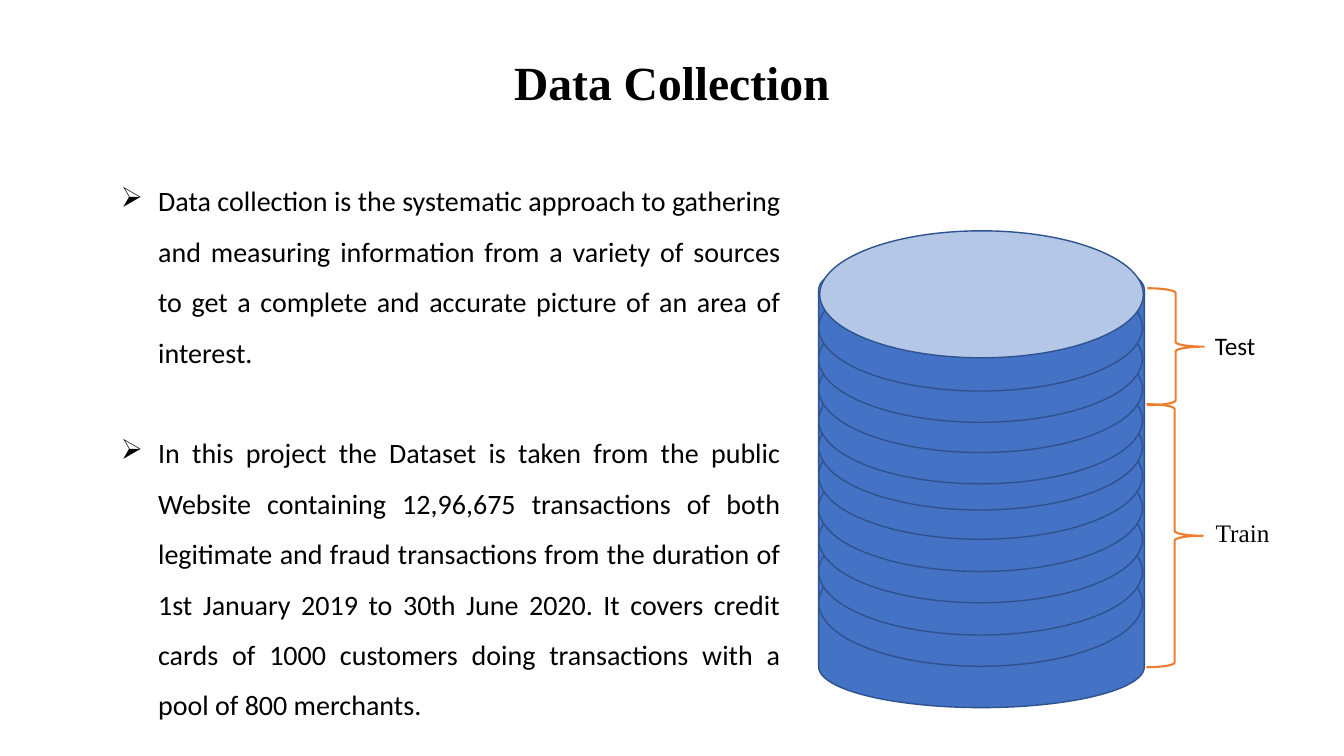
from lxml.etree import SubElement
from pptx import Presentation
from pptx.dml.color import RGBColor
from pptx.enum.shapes import MSO_SHAPE as Shape
from pptx.enum.text import MSO_ANCHOR as Anchor, PP_ALIGN as Align
from pptx.oxml.ns import qn
from pptx.util import Inches, Pt

BLACK = RGBColor(0x00, 0x00, 0x00)
BLUE = RGBColor(0x44, 0x72, 0xC4)
PALE_BLUE = RGBColor(0xB4, 0xC7, 0xE7)
NAVY = RGBColor(0x2F, 0x52, 0x8F)
ORANGE = RGBColor(0xED, 0x7D, 0x31)

SERIF = "Times New Roman"
SANS = "Calibri"

BULLETS = [
    "Data collection is the systematic approach to gathering and measuring "
    "information from a variety of sources to get a complete and accurate "
    "picture of an area of interest.",
    "In this project the Dataset is taken from the public Website containing "
    "12,96,675 transactions of both legitimate and fraud transactions from the "
    "duration of 1st January 2019 to 30th June 2020. It covers credit cards of "
    "1000 customers doing transactions with a pool of 800 merchants.",
]
DISK_TOPS = [5.35, 5.04, 4.72, 4.41, 4.09, 3.8, 3.54, 3.23, 2.93, 2.62]
CAP_TOP = 2.29


def place(shape, left, top, width, height):
    shape.left, shape.top = Inches(left), Inches(top)
    shape.width, shape.height = Inches(width), Inches(height)


def add_span(para, text, font, size, bold=False):
    span = para.add_run()
    span.text = text
    span.font.name = font
    span.font.size = Pt(size)
    span.font.bold = bold
    span.font.color.rgb = BLACK


def set_title(page, text):
    title = page.shapes.title
    place(title, 4.17, 0.48, 4.99, 0.67)
    title.text_frame.vertical_anchor = Anchor.TOP
    para = title.text_frame.paragraphs[0]
    para.alignment = Align.CENTER
    add_span(para, text, SERIF, 34, bold=True)


def add_text_box(page, left, top, width, height):
    box = page.shapes.add_textbox(
        Inches(left), Inches(top), Inches(width), Inches(height))
    box.text_frame.word_wrap = True
    return box.text_frame


def add_label(page, text, font, left, top, width, height):
    frame = add_text_box(page, left, top, width, height)
    add_span(frame.paragraphs[0], text, font, 18)


def set_bullet(para):
    props = para._p.get_or_add_pPr()
    props.set("marL", str(Inches(0.37)))
    props.set("indent", str(Inches(-0.37)))
    colour = SubElement(props, qn("a:buClr"))
    SubElement(colour, qn("a:srgbClr")).set("val", str(BLACK))
    SubElement(props, qn("a:buChar")).set("char", "➢")


def add_bullets(page, texts):
    frame = add_text_box(page, 1.1, 1.61, 6.74, 6.1)
    for index, text in enumerate(texts):
        para = frame.add_paragraph() if index else frame.paragraphs[0]
        para.alignment = Align.JUSTIFY
        para.line_spacing = 1.5
        para.space_before = Pt(36 if index else 0)
        set_bullet(para)
        add_span(para, text, SANS, 20)


def add_figure(page, kind, left, top, width, height, line, weight, fill=None):
    figure = page.shapes.add_shape(
        kind, Inches(left), Inches(top), Inches(width), Inches(height))
    figure.shadow.inherit = False
    figure.line.color.rgb = line
    figure.line.width = Pt(weight)
    if fill is None:
        figure.fill.background()
    else:
        figure.fill.solid()
        figure.fill.fore_color.rgb = fill


def add_database(page):
    add_figure(page, Shape.CAN, 8.12, 2.47, 3.23, 4.55, NAVY, 1, BLUE)
    for top in DISK_TOPS:
        add_figure(page, Shape.OVAL, 8.12, top, 3.21, 1.26, NAVY, 1, BLUE)
    add_figure(page, Shape.OVAL, 8.13, CAP_TOP, 3.21, 1.26, NAVY, 1, PALE_BLUE)


def add_brace(page, left, top, height):
    add_figure(page, Shape.RIGHT_BRACE, left, top, 0.56, height, ORANGE, 1.5)


def main():
    deck = Presentation()
    deck.slide_width, deck.slide_height = Inches(13.33), Inches(7.5)
    page = deck.slides.add_slide(deck.slide_layouts.get_by_name("Title Only"))
    set_title(page, "Data Collection")
    add_bullets(page, BULLETS)
    add_database(page)
    add_brace(page, 11.37, 4.01, 2.61)
    add_brace(page, 11.38, 2.86, 1.16)
    add_label(page, "Train", SERIF, 11.96, 5.08, 1.27, 0.71)
    add_label(page, "Test", SANS, 11.95, 3.23, 0.76, 0.4)
    deck.save("out.pptx")


if __name__ == "__main__":
    main()
